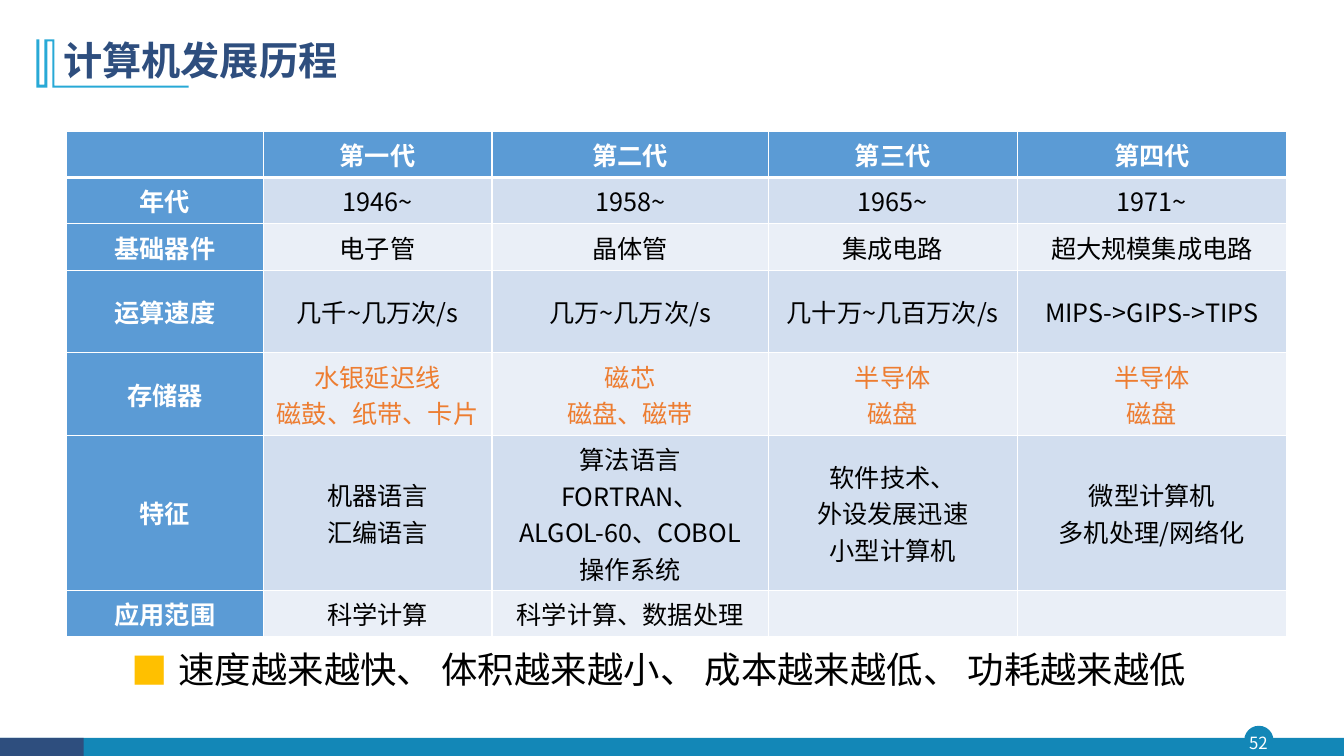
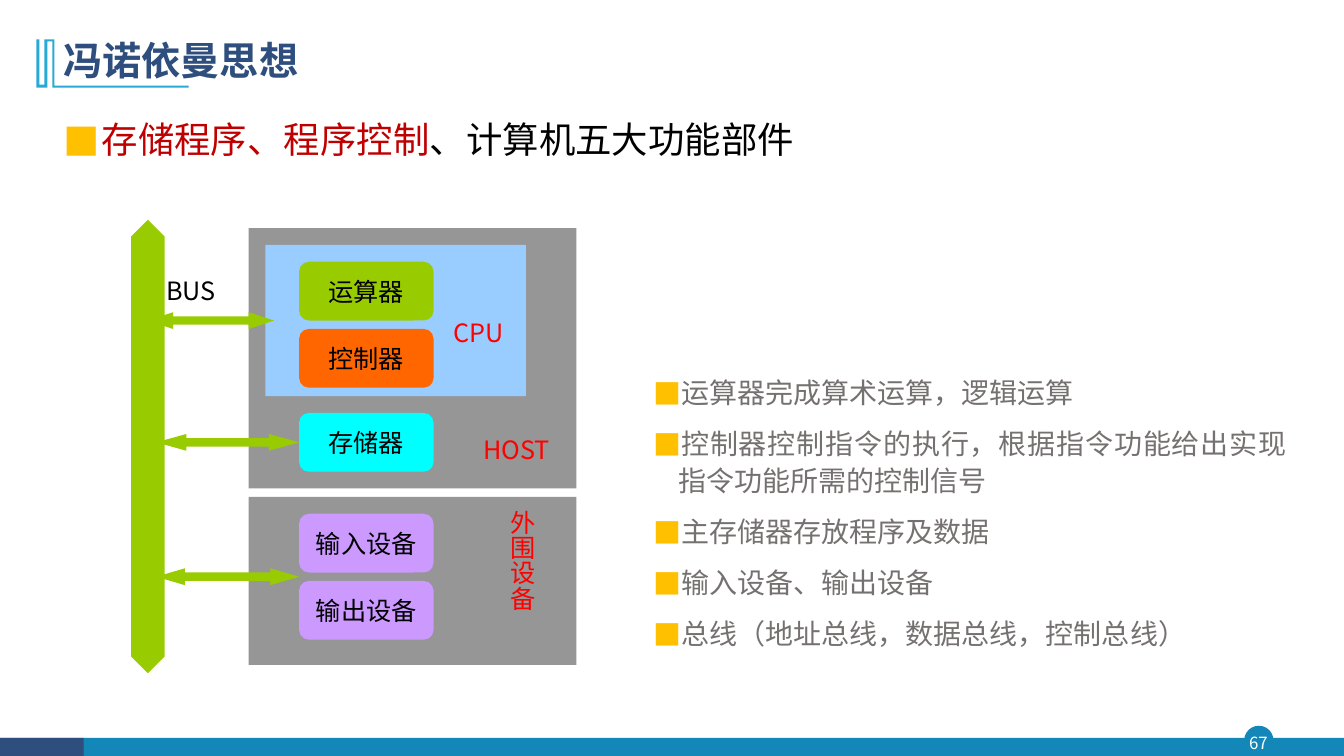
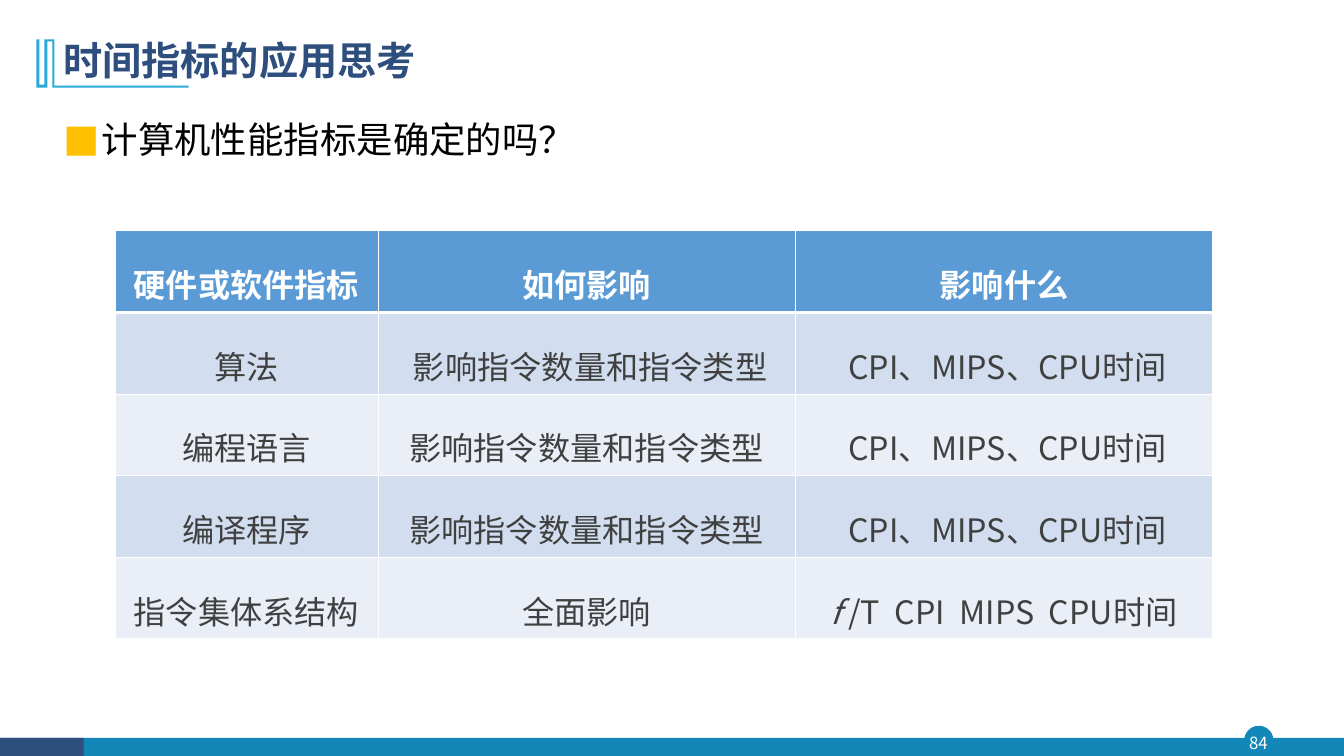
"""Build three slides on computer history, the von Neumann model and performance."""
from dataclasses import dataclass
from typing import NamedTuple, Optional, Sequence

from lxml.etree import SubElement
from pptx import Presentation
from pptx.dml.color import RGBColor
from pptx.enum.shapes import MSO_SHAPE as Preset
from pptx.enum.text import MSO_ANCHOR as Anchor, PP_ALIGN as Align
from pptx.oxml.ns import qn
from pptx.util import Inches, Pt

WIDTH, HEIGHT = 13.33, 7.5
FONT = "Noto Sans CJK SC"
NAVY, TEAL, SKY, GOLD = "2E4E7E", "1387B7", "28A9D6", "FFC000"
HEADER, BAND_DARK, BAND_LIGHT = "5B9BD5", "D2DEEF", "EAEFF7"
WHITE, BLACK, CHARCOAL, GRAY = "FFFFFF", "000000", "404040", "767171"
RED, DARK_RED, ORANGE = "FF0000", "C00000", "ED7D31"
GREEN, PANEL = "99CC00", "969696"
ORNAMENT = [
    (54, 39), (54, 85), (187, 85), (187, 87), (52, 87), (52, 41), (47, 41),
    (47, 87), (36, 87), (36, 39), (39, 39), (39, 84), (44, 84), (44, 39),
]


class Box(NamedTuple):
    """Left, top, width and height in inches."""
    left: float
    top: float
    width: float
    height: float

    def lengths(self) -> tuple:
        """Return the four values as slide lengths."""
        return tuple(Inches(value) for value in self)


class Grid(NamedTuple):
    """A square grid with its origin and unit in inches."""
    left: float
    top: float
    unit: float

    def box(self, col: float, row: float, cols: float, rows: float) -> Box:
        """Return the box that covers the given columns and rows."""
        return Box(self.left + col * self.unit, self.top + row * self.unit,
                   cols * self.unit, rows * self.unit)


@dataclass(frozen=True)
class Style:
    """Look of a run of text."""
    size: float
    color: str = BLACK
    bold: bool = False
    italic: bool = False


class Piece(NamedTuple):
    """A run of text with its style."""
    text: str
    style: Style


@dataclass(frozen=True)
class Layout:
    """Look of a paragraph."""
    align: Optional[Align] = None
    spacing: float = 1.0
    before: float = 0
    hanging: float = 0


@dataclass(frozen=True)
class Block:
    """A preset shape on the diagram grid."""
    preset: Preset
    place: tuple
    fill: str
    text: str = ""
    adjustments: tuple = ()


@dataclass(frozen=True)
class Label:
    """A caption on the diagram grid."""
    text: str
    place: tuple
    color: str = RED
    align: Align = Align.RIGHT
    vertical: bool = False


TITLE = Style(28, NAVY, bold=True)
LEAD = Style(26)
DIAGRAM_SIZE = 18
CENTERED = Layout(Align.CENTER)
LEAD_LAYOUT = Layout(spacing=1.2, hanging=0.38)
LEAD_BOX = Box(0.53, 1.03, 11.5, 0.8)
DIAGRAM = Grid(1.3, 2.18, 1 / 12)

GENERATIONS = [
    ["", "第一代", "第二代", "第三代", "第四代"],
    ["年代", "1946~", "1958~", "1965~", "1971~"],
    ["基础器件", "电子管", "晶体管", "集成电路", "超大规模集成电路"],
    ["运算速度", "几千~几万次/s", "几万~几万次/s", "几十万~几百万次/s", "MIPS->GIPS->TIPS"],
    ["存储器", "水银延迟线\n磁鼓、纸带、卡片", "磁芯\n磁盘、磁带", "半导体\n磁盘", "半导体\n磁盘"],
    ["特征", "机器语言\n汇编语言", "算法语言\nFORTRAN、ALGOL-60、COBOL\n操作系统",
     "软件技术、\n外设发展迅速\n小型计算机", "微型计算机\n多机处理/网络化"],
    ["应用范围", "科学计算", "科学计算、数据处理", "", ""],
]
GENERATION_LINES = [1, 1, 1, 2, 2, 4, 1]
MEMORY_ROW = 4

METRICS = [
    ["硬件或软件指标", "如何影响", "影响什么"],
    ["算法", " 影响指令数量和指令类型", " CPI、MIPS、CPU时间"],
    ["编程语言", "影响指令数量和指令类型", " CPI、MIPS、CPU时间"],
    ["编译程序", "影响指令数量和指令类型", " CPI、MIPS、CPU时间"],
    ["指令集体系结构", "全面影响", "f| /T  CPI  MIPS  CPU时间"],
]

UNITS = [
    Block(Preset.RECTANGLE, (14, 33, 39, 20), PANEL),
    Block(Preset.RECTANGLE, (14, 1, 39, 31), PANEL),
    Block(Preset.RECTANGLE, (16, 3, 31, 18), "99CCFF"),
] + [
    Block(Preset.ROUNDED_RECTANGLE, (20, row, 16, 7), fill, text)
    for row, fill, text in [
        (5, GREEN, "运算器"), (13, "FF6600", "控制器"), (23, "00FFFF", "存储器"),
        (35, "CC99FF", "输入设备"), (43, "CC99FF", "输出设备"),
    ]
] + [
    Block(Preset.UP_DOWN_ARROW, (0, 0, 4, 54), GREEN, adjustments=(0.375, 1.47)),
    Block(Preset.LEFT_RIGHT_ARROW, (2, 11, 15, 2), GREEN, adjustments=(0.5, 1.5)),
    Block(Preset.LEFT_RIGHT_ARROW, (3, 25.5, 17, 2), GREEN, adjustments=(0.5, 1.8)),
    Block(Preset.LEFT_RIGHT_ARROW, (3, 41.5, 17, 2), GREEN, adjustments=(0.5, 1.7)),
]
LABELS = [
    Label("外围设备", (43, 33.4, 6, 18.8), align=Align.CENTER, vertical=True),
    Label("HOST", (39, 25, 12, 4.8)),
    Label("CPU", (37, 11, 8.5, 4.8)),
    Label("BUS", (3, 6, 10, 4.8), BLACK, Align.LEFT),
]
FUNCTIONS = [
    "运算器完成算术运算，逻辑运算",
    "控制器控制指令的执行，根据指令功能给出实现指令功能所需的控制信号",
    "主存储器存放程序及数据",
    "输入设备、输出设备",
    "总线（地址总线，数据总线，控制总线）",
]


def color_of(value: str) -> RGBColor:
    """Turn a hex string into a colour."""
    return RGBColor.from_string(value)


def paint(shape, fill: str) -> None:
    """Give a shape a plain fill without line or shadow."""
    shape.shadow.inherit = False
    shape.fill.solid()
    shape.fill.fore_color.rgb = color_of(fill)
    shape.line.fill.background()


def add_bullet(paragraph, hanging: float) -> None:
    """Give a paragraph a gold square with a hanging indent."""
    properties = paragraph._p.get_or_add_pPr()
    properties.set("marL", str(Inches(hanging)))
    properties.set("indent", str(-Inches(hanging)))
    tint = SubElement(properties, qn("a:buClr"))
    SubElement(tint, qn("a:srgbClr")).set("val", GOLD)
    SubElement(properties, qn("a:buFont")).set("typeface", FONT)
    SubElement(properties, qn("a:buChar")).set("char", "■")


def write_paragraph(paragraph, pieces: Sequence[Piece], layout: Layout) -> None:
    """Fill a paragraph run by run."""
    if layout.hanging:
        add_bullet(paragraph, layout.hanging)
    paragraph.alignment = layout.align
    paragraph.line_spacing = layout.spacing
    paragraph.space_before = Pt(layout.before)
    for piece in pieces:
        run = paragraph.add_run()
        run.text = piece.text
        font = run.font
        font.name, font.size = FONT, Pt(piece.style.size)
        font.bold, font.italic = piece.style.bold, piece.style.italic
        font.color.rgb = color_of(piece.style.color)
        SubElement(run._r.get_or_add_rPr(), qn("a:ea")).set("typeface", FONT)


def write_lines(frame, lines: Sequence[str], style: Style, layout: Layout) -> None:
    """Fill a text frame with one paragraph for each line."""
    for index, line in enumerate(lines):
        paragraph = frame.add_paragraph() if index else frame.paragraphs[0]
        write_paragraph(paragraph, [Piece(line, style)], layout)


def add_frame(slide, box: Box, anchor: Anchor = Anchor.TOP):
    """Add a wrapping text box and return its text frame."""
    frame = slide.shapes.add_textbox(*box.lengths()).text_frame
    frame.word_wrap = True
    frame.vertical_anchor = anchor
    return frame


def add_shape(slide, preset: Preset, box: Box, fill: str):
    """Add a plain preset shape."""
    shape = slide.shapes.add_shape(preset, *box.lengths())
    paint(shape, fill)
    return shape


def add_lead(slide, pieces: Sequence[Piece], box: Box = LEAD_BOX) -> None:
    """Add the large bulleted statement."""
    write_paragraph(add_frame(slide, box).paragraphs[0], pieces, LEAD_LAYOUT)


def start_slide(presentation, title: str, number: int):
    """Add a slide with its footer, ornament, title and number."""
    slide = presentation.slides.add_slide(presentation.slide_layouts[6])
    add_shape(slide, Preset.OVAL, Box(12.34, 7.2, 0.29, 0.29), TEAL)
    add_shape(slide, Preset.RECTANGLE, Box(0, 7.32, WIDTH, 0.18), TEAL)
    add_shape(slide, Preset.RECTANGLE, Box(0, 7.32, 0.83, 0.18), NAVY)
    frame = add_frame(slide, Box(12.32, 7.21, 0.32, 0.31), Anchor.MIDDLE)
    frame.margin_left = frame.margin_right = frame.margin_top = frame.margin_bottom = 0
    write_lines(frame, [str(number)], Style(12, WHITE), CENTERED)

    builder = slide.shapes.build_freeform(*ORNAMENT[0], scale=Inches(0.01))
    builder.add_line_segments(ORNAMENT[1:], close=True)
    paint(builder.convert_to_shape(), SKY)
    write_lines(add_frame(slide, Box(0.53, 0.28, 11.5, 0.68), Anchor.MIDDLE),
                [title], TITLE, Layout(spacing=0.9))
    return slide


def set_borders(cell, row: int) -> None:
    """Draw white cell borders, with a heavy rule under the header."""
    properties = cell._tc.get_or_add_tcPr()
    widths = {"L": 1, "R": 1, "T": 3 if row == 1 else 1, "B": 3 if row == 0 else 1}
    for side, width in widths.items():
        line = SubElement(properties, qn(f"a:ln{side}"))
        line.set("w", str(Pt(width)))
        fill = SubElement(line, qn("a:solidFill"))
        SubElement(fill, qn("a:srgbClr")).set("val", WHITE)


def add_table(slide, left: float, top: float, columns: Sequence[float],
              heights: Sequence[float], rows: Sequence[Sequence[str]]):
    """Add a banded table without text and return it."""
    box = Box(left, top, sum(columns), sum(heights))
    table = slide.shapes.add_table(len(rows), len(columns), *box.lengths()).table
    table.horz_banding = False
    for column, width in zip(table.columns, columns):
        column.width = Inches(width)
    for index, height in enumerate(heights):
        table.rows[index].height = Inches(height)
        for cell in table.rows[index].cells:
            set_borders(cell, index)
            cell.vertical_anchor = Anchor.MIDDLE
            cell.fill.solid()
            band = BAND_DARK if index % 2 else BAND_LIGHT
            cell.fill.fore_color.rgb = color_of(band if index else HEADER)
    return table


def build_history(presentation) -> None:
    """Build the slide on computer generations."""
    slide = start_slide(presentation, "计算机发展历程", 52)
    heights = [0.1 + 0.36 * lines for lines in GENERATION_LINES]
    table = add_table(slide, 0.66, 1.3, [1.95, 2.27, 2.74, 2.47, 2.67], heights, GENERATIONS)
    for row, texts in enumerate(GENERATIONS):
        for column, text in enumerate(texts):
            cell = table.cell(row, column)
            heading = row == 0 or column == 0
            if column == 0:
                cell.fill.fore_color.rgb = color_of(HEADER)
            body = ORANGE if row == MEMORY_ROW else BLACK
            style = Style(18, WHITE if heading else body, bold=heading)
            write_lines(cell.text_frame, text.split("\n"), style, CENTERED)
    summary = " 速度越来越快、 体积越来越小、 成本越来越低、 功耗越来越低"
    add_lead(slide, [Piece(summary, LEAD)], Box(1.21, 6.28, 11.5, 0.68))


def build_von_neumann(presentation) -> None:
    """Build the slide on the five functional units."""
    slide = start_slide(presentation, "冯诺依曼思想", 67)
    add_lead(slide, [Piece("存储程序、程序控制", Style(26, DARK_RED)),
                     Piece("、计算机五大功能部件", LEAD)])

    frame = add_frame(slide, Box(6.38, 3.51, 6.48, 3.4))
    for index, text in enumerate(FUNCTIONS):
        paragraph = frame.add_paragraph() if index else frame.paragraphs[0]
        layout = Layout(Align.JUSTIFY, 1.1 if index else 1.5, 10 if index else 0, 0.25)
        write_paragraph(paragraph, [Piece(text, Style(20, GRAY))], layout)

    for unit in UNITS:
        shape = add_shape(slide, unit.preset, DIAGRAM.box(*unit.place), unit.fill)
        for index, value in enumerate(unit.adjustments):
            shape.adjustments[index] = value
        if unit.text:
            shape.text_frame.word_wrap = False
            shape.text_frame.vertical_anchor = Anchor.MIDDLE
            write_lines(shape.text_frame, [unit.text], Style(DIAGRAM_SIZE), CENTERED)

    for label in LABELS:
        frame = add_frame(slide, DIAGRAM.box(*label.place))
        if label.vertical:
            frame._txBody.bodyPr.set("vert", "eaVert")
        write_lines(frame, [label.text], Style(DIAGRAM_SIZE, label.color), Layout(label.align))


def build_metrics(presentation) -> None:
    """Build the slide on what affects performance figures."""
    slide = start_slide(presentation, "时间指标的应用思考", 84)
    add_lead(slide, [Piece("计算机性能指标是确定的吗？", LEAD)])
    table = add_table(slide, 1.14, 2.29, [2.61, 4.14, 4.14], [0.81] * len(METRICS), METRICS)
    for row, texts in enumerate(METRICS):
        for column, text in enumerate(texts):
            cell = table.cell(row, column)
            cell.margin_left = cell.margin_right = Inches(0.12)
            cell.margin_top = cell.margin_bottom = Inches(0.06)
            symbol, _, rest = text.rpartition("|")
            color = CHARCOAL if row else WHITE
            pieces = [Piece(symbol, Style(23, color, italic=True))] if symbol else []
            pieces.append(Piece(rest, Style(23, color, bold=row == 0)))
            write_paragraph(cell.text_frame.paragraphs[0], pieces, Layout(Align.CENTER, 1.5))


def main() -> None:
    """Build and save the presentation."""
    presentation = Presentation()
    presentation.slide_width = Inches(WIDTH)
    presentation.slide_height = Inches(HEIGHT)
    build_history(presentation)
    build_von_neumann(presentation)
    build_metrics(presentation)
    presentation.save("out.pptx")


if __name__ == "__main__":
    main()
